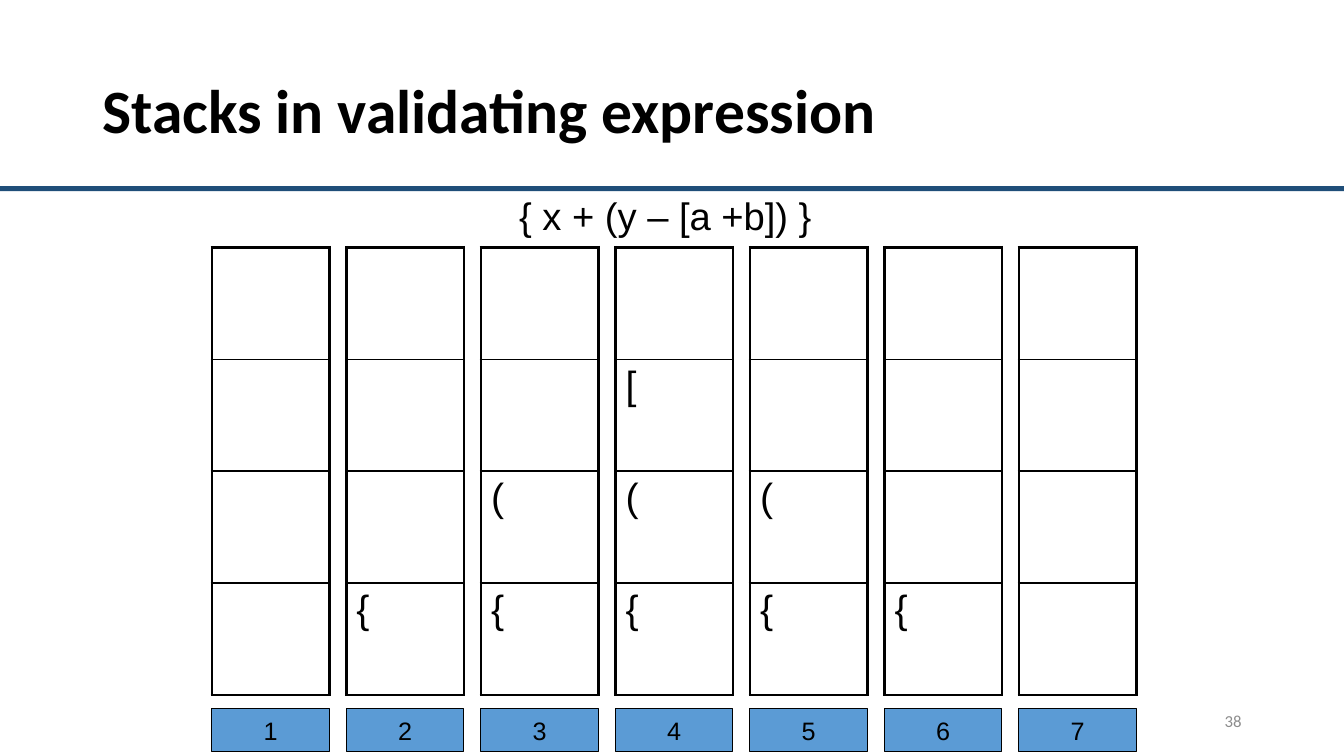
from lxml import etree
from pptx import Presentation
from pptx import util as u
from pptx.dml.color import RGBColor
from pptx.enum import shapes, text
from pptx.oxml import ns

BLACK = RGBColor(0x00, 0x00, 0x00)
GRAY = RGBColor(0x8C, 0x8C, 0x8C)
NAVY = RGBColor(0x1F, 0x4E, 0x79)
BLUE = RGBColor(0x5B, 0x9B, 0xD5)

STACKS = ["", "{", "{(", "{([", "{(", "{", ""]
DEPTH = 4
LEFT, PITCH, WIDTH = 5.34, 3.39, 2.96
TOP, ROW = 6.23, 2.82
THICK, THIN = 2.25, 1


def write(tf, content, size, font="Arial", color=BLACK, bold=False, align=None, spacing=None):
    tf.text = content
    p = tf.paragraphs[0]
    p.alignment = align
    p.line_spacing = spacing
    r = p.runs[0]
    r.font.size = u.Pt(size)
    r.font.name = font
    r.font.bold = bold
    r.font.color.rgb = color


def add_text(slide, x, y, w, h, content, size, **style):
    tf = slide.shapes.add_textbox(u.Cm(x), u.Cm(y), u.Cm(w), u.Cm(h)).text_frame
    tf.word_wrap = True
    tf.vertical_anchor = text.MSO_ANCHOR.MIDDLE
    write(tf, content, size, **style)


def add_box(slide, x, y, w, h, fill):
    sp = slide.shapes.add_shape(shapes.MSO_SHAPE.RECTANGLE, u.Cm(x), u.Cm(y), u.Cm(w), u.Cm(h))
    sp.shadow.inherit = False
    sp.fill.solid()
    sp.fill.fore_color.rgb = fill
    sp.line.fill.background()
    return sp


def add_label(slide, x, number):
    sp = add_box(slide, x, 17.86, WIDTH, 1.07, BLUE)
    sp.line.color.rgb = BLACK
    sp.line.width = u.Pt(0.75)
    tf = sp.text_frame
    tf.word_wrap = False
    tf.vertical_anchor = text.MSO_ANCHOR.MIDDLE
    write(tf, str(number), 18, align=text.PP_ALIGN.CENTER)


def set_borders(cell, top, bottom):
    tcPr = cell._tc.get_or_add_tcPr()
    for side, width in (("L", THICK), ("R", THICK), ("T", top), ("B", bottom)):
        ln = etree.SubElement(tcPr, ns.qn(f"a:ln{side}"), w=str(u.Pt(width)))
        fill = etree.SubElement(ln, ns.qn("a:solidFill"))
        etree.SubElement(fill, ns.qn("a:srgbClr"), val=str(BLACK))


def add_stack(slide, x, symbols):
    frame = slide.shapes.add_table(DEPTH, 1, u.Cm(x), u.Cm(TOP), u.Cm(WIDTH), u.Cm(DEPTH * ROW))
    table = frame.table
    table.first_row = table.horz_banding = False
    for i in range(DEPTH):
        cell = table.cell(i, 0)
        set_borders(cell, THICK if i == 0 else THIN, THICK if i == DEPTH - 1 else THIN)
        cell.fill.background()
        level = DEPTH - 1 - i
        if level < len(symbols):
            write(cell.text_frame, symbols[level], 28)


def main():
    prs = Presentation()
    prs.slide_width, prs.slide_height = u.Cm(33.87), u.Cm(19.05)
    slide = prs.slides.add_slide(prs.slide_layouts[6])
    add_box(slide, 0, 4.69, 33.87, 0.13, NAVY)
    add_text(slide, 2.33, 1.01, 29.21, 3.68, "Stacks in validating expression", 44,
             font="Calibri", bold=True, spacing=0.9)
    add_text(slide, 23.92, 17.66, 7.62, 1.01, "38", 12,
             font="Calibri", color=GRAY, align=text.PP_ALIGN.RIGHT)
    add_text(slide, 5.34, 4.7, 22.86, 1.57, "{ x + (y – [a +b]) }", 27.3,
             align=text.PP_ALIGN.CENTER, spacing=0.9)
    for i, symbols in enumerate(STACKS):
        x = LEFT + i * PITCH
        add_stack(slide, x, symbols)
        add_label(slide, x, i + 1)
    prs.save("out.pptx")


if __name__ == "__main__":
    main()
